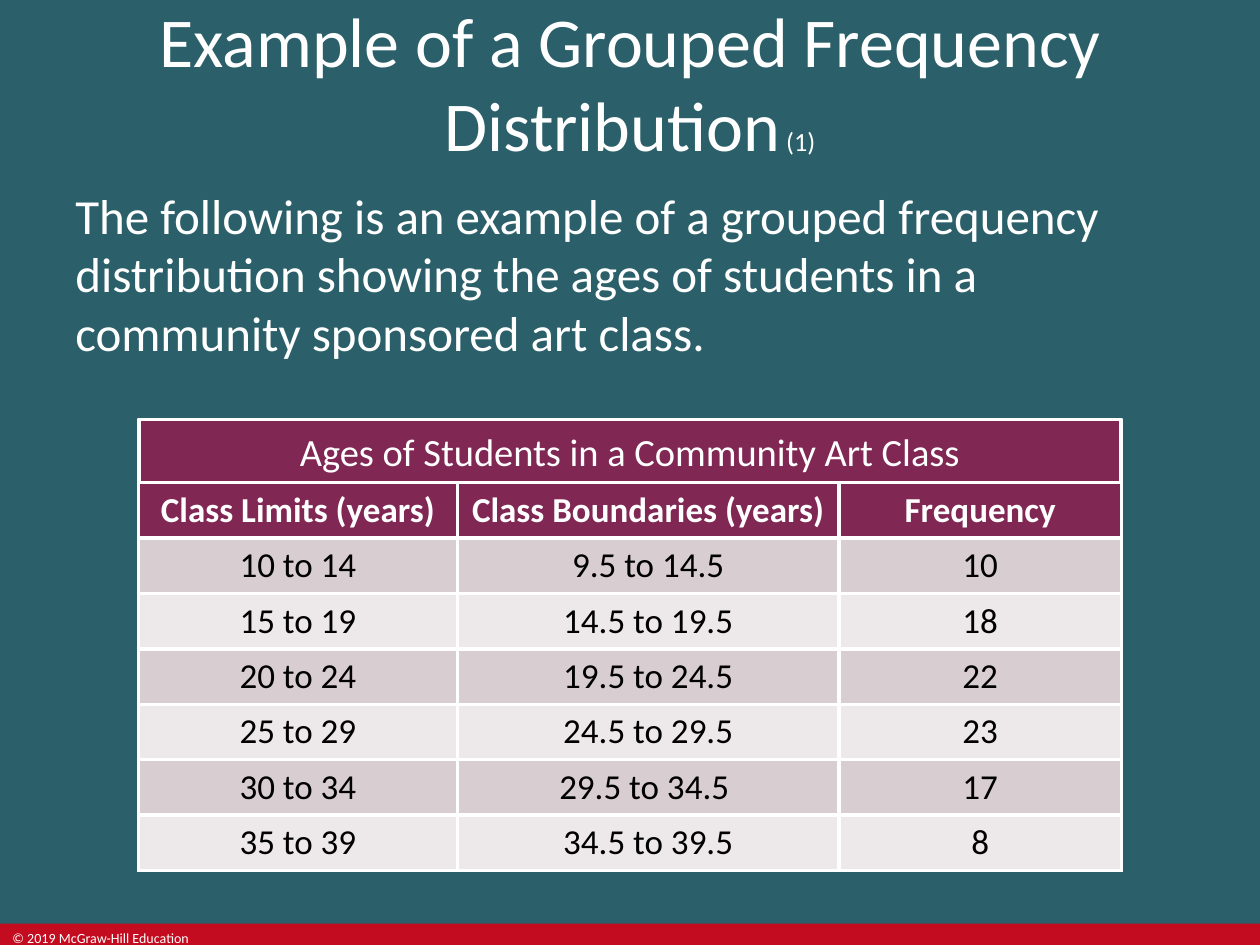
from lxml.etree import SubElement
from pptx import Presentation
from pptx.dml.color import RGBColor
from pptx.enum.shapes import MSO_SHAPE
from pptx.enum.text import MSO_ANCHOR, PP_ALIGN
from pptx.oxml.ns import qn
from pptx.util import Inches, Pt

TEAL = RGBColor(0x2B, 0x60, 0x6A)
RED = RGBColor(0xC3, 0x0C, 0x20)
PLUM = RGBColor(0x80, 0x27, 0x54)
ROSE = RGBColor(0xD8, 0xCD, 0xD1)
PALE = RGBColor(0xED, 0xE8, 0xE9)
WHITE = RGBColor(0xFF, 0xFF, 0xFF)
BLACK = RGBColor(0, 0, 0)

BORDER = Pt(2.25)
COLUMNS = (2.53, 3.03, 2.24)
ROW_HEIGHT = 0.44
ROWS = (
    ("Class Limits (years)", "Class Boundaries (years)", "Frequency"),
    ("10 to 14", "9.5 to 14.5", "10"),
    ("15 to 19", "14.5 to 19.5", "18"),
    ("20 to 24", "19.5 to 24.5", "22"),
    ("25 to 29", "24.5 to 29.5", "23"),
    ("30 to 34", "29.5 to 34.5 ", "17"),
    ("35 to 39", "34.5 to 39.5", "8"),
)


def write(p, text, size, color=WHITE, bold=False, align=PP_ALIGN.LEFT):
    """Add a formatted run to a paragraph."""
    p.alignment = align
    r = p.add_run()
    r.text = text
    r.font.name = "Calibri"
    r.font.size = Pt(size)
    r.font.bold = bold
    r.font.color.rgb = color


def add_text(slide, box, anchor=MSO_ANCHOR.TOP):
    """Add a wrapping text box and return its first paragraph."""
    tf = slide.shapes.add_textbox(*map(Inches, box)).text_frame
    tf.word_wrap = True
    tf.vertical_anchor = anchor
    return tf.paragraphs[0]


def add_rect(slide, box, fill, line=None):
    """Add a filled rectangle with an optional outline."""
    sp = slide.shapes.add_shape(MSO_SHAPE.RECTANGLE, *map(Inches, box))
    sp.shadow.inherit = False
    sp.fill.solid()
    sp.fill.fore_color.rgb = fill
    if line is None:
        sp.line.fill.background()
    else:
        sp.line.color.rgb = line
        sp.line.width = BORDER
    return sp


def add_borders(cell):
    """Draw white borders on all four sides of a cell."""
    props = cell._tc.get_or_add_tcPr()
    for i, side in enumerate(("a:lnL", "a:lnR", "a:lnT", "a:lnB")):
        ln = props.makeelement(qn(side), {"w": str(int(BORDER))})
        fill = SubElement(ln, qn("a:solidFill"))
        SubElement(fill, qn("a:srgbClr"), val=str(WHITE))
        props.insert(i, ln)


def add_ages_table(slide, left, top):
    """Add the grouped frequency table."""
    size = (sum(COLUMNS), ROW_HEIGHT * len(ROWS))
    frame = slide.shapes.add_table(
        len(ROWS), len(COLUMNS), *map(Inches, (left, top, *size)))
    table = frame.table
    for column, width in zip(table.columns, COLUMNS):
        column.width = Inches(width)
    for i, row in enumerate(ROWS):
        table.rows[i].height = Inches(ROW_HEIGHT)
        header = i == 0
        fill = PLUM if header else (PALE, ROSE)[i % 2]
        for j, text in enumerate(row):
            cell = table.cell(i, j)
            cell.fill.solid()
            cell.fill.fore_color.rgb = fill
            add_borders(cell)
            write(cell.text_frame.paragraphs[0], text, 20, bold=header,
                  color=WHITE if header else BLACK, align=PP_ALIGN.CENTER)


def main():
    """Build the slide and save it."""
    prs = Presentation()
    prs.slide_width, prs.slide_height = Inches(10), Inches(7.5)
    slide = prs.slides.add_slide(prs.slide_layouts[6])
    slide.background.fill.solid()
    slide.background.fill.fore_color.rgb = TEAL

    add_rect(slide, (0, 7.33, 10, 0.17), RED)
    write(add_text(slide, (0, 7.33, 1.7, 0.17)),
          "© 2019 McGraw-Hill Education", 8)

    title = add_text(slide, (0, 0, 10, 1.3), MSO_ANCHOR.MIDDLE)
    write(title, "Example of a Grouped Frequency Distribution", 40,
          align=PP_ALIGN.CENTER)
    write(title, " (1)", 15, align=PP_ALIGN.CENTER)

    intro = add_text(slide, (0.5, 1.42, 9, 1.58))
    write(intro, "The following is an example of a grouped frequency "
          "distribution showing the ages of students in a community "
          "sponsored art class.", 28)

    caption = add_rect(slide, (1.1, 3.33, 7.8, 0.5), PLUM, WHITE)
    caption.text_frame.word_wrap = True
    caption.text_frame.vertical_anchor = MSO_ANCHOR.MIDDLE
    write(caption.text_frame.paragraphs[0],
          "Ages of Students in a Community Art Class", 22,
          align=PP_ALIGN.CENTER)
    add_ages_table(slide, 1.1, 3.83)

    prs.save("out.pptx")


if __name__ == "__main__":
    main()
